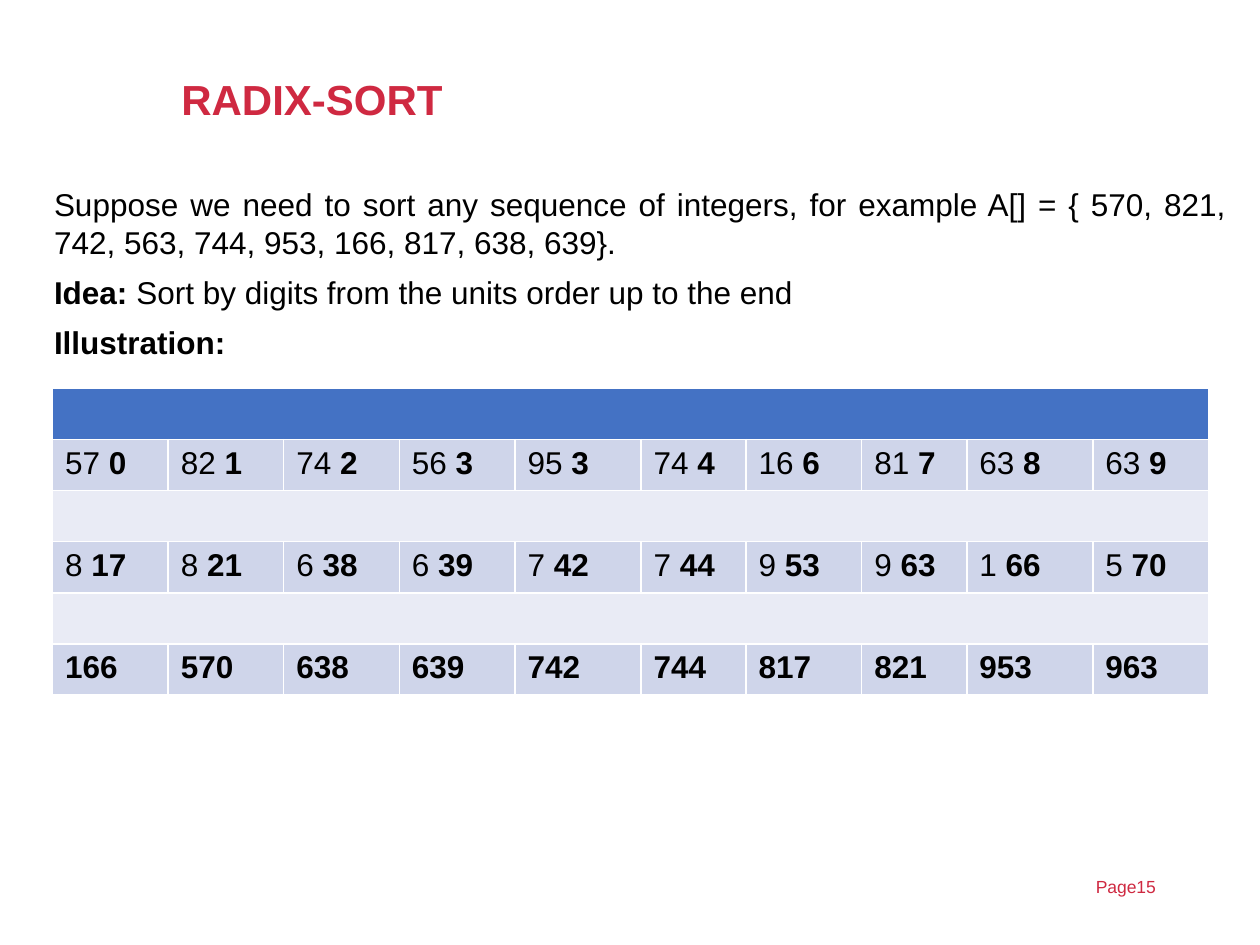
"""Builds the radix sort slide with its table of sorting passes."""
from pptx import Presentation
from pptx.dml.color import RGBColor
from pptx.enum.text import MSO_ANCHOR, MSO_AUTO_SIZE, PP_ALIGN
from pptx.util import Cm, Pt


def rgb(hex_code):
    return RGBColor.from_string(hex_code)


def add_run(paragraph, text, size=18, bold=False, color="000000"):
    run = paragraph.add_run()
    run.text = text
    run.font.name = "Arial"
    run.font.size = Pt(size)
    run.font.bold = bold
    run.font.color.rgb = rgb(color)


RED = "CF2941"
prs = Presentation()
prs.slide_width, prs.slide_height = Cm(25.4), Cm(19.05)
slide = prs.slides.add_slide(prs.slide_layouts[5])

title = slide.shapes.title
title.left, title.top, title.width, title.height = Cm(3.4), Cm(1.02), Cm(20.27), Cm(2.08)
title.text_frame.auto_size = MSO_AUTO_SIZE.NONE
title.text_frame.vertical_anchor = MSO_ANCHOR.MIDDLE
heading = title.text_frame.paragraphs[0]
heading.alignment = PP_ALIGN.LEFT
heading.line_spacing = 0.9
add_run(heading, "RADIX-SORT", 24, True, RED)

page = slide.shapes.add_textbox(Cm(21.84), Cm(17.53), Cm(3.05), Cm(0.71)).text_frame
page.word_wrap = True
add_run(page.paragraphs[0], "Page15", 10, color=RED)

explanation = [
    ("", "Suppose we need to sort any sequence of integers, for example "
         "A[] = { 570, 821, 742, 563, 744, 953, 166, 817, 638, 639}."),
    ("Idea: ", "Sort by digits from the units order up to the end"),
    ("Illustration:", ""),
]
intro = slide.shapes.add_textbox(Cm(0.84), Cm(3.61), Cm(24.13), Cm(3.86)).text_frame
intro.word_wrap = True
for index, (lead, body) in enumerate(explanation):
    paragraph = intro.add_paragraph() if index else intro.paragraphs[0]
    paragraph.alignment = PP_ALIGN.JUSTIFY
    paragraph.space_before = Pt(7)
    if lead:
        add_run(paragraph, lead, bold=True)
    if body:
        add_run(paragraph, body)

passes = [
    "570 821 742 563 953 744 166 817 638 639".split(),
    "817 821 638 639 742 744 953 963 166 570".split(),
    "166 570 638 639 742 744 817 821 953 963".split(),
]
column_widths = [2.33, 2.33, 2.33, 2.33, 2.54, 2.12, 2.33, 2.12, 2.54, 2.33]
table = slide.shapes.add_table(
    2 * len(passes), len(column_widths),
    Cm(1.06), Cm(7.83), Cm(23.3), Cm(6.18)).table
for column, width in zip(table.columns, column_widths):
    column.width = Cm(width)
for row in table.rows:
    row.height = Cm(1.03)

for step, numbers in enumerate(passes):
    separator_row, number_row = 2 * step, 2 * step + 1
    sorted_from = 2 - step
    for col, number in enumerate(numbers):
        separator = table.cell(separator_row, col)
        separator.fill.solid()
        separator.fill.fore_color.rgb = rgb("E9EBF5" if step else "4472C4")
        cell = table.cell(number_row, col)
        cell.fill.solid()
        cell.fill.fore_color.rgb = rgb("CFD5EA")
        paragraph = cell.text_frame.paragraphs[0]
        if sorted_from:
            add_run(paragraph, number[:sorted_from] + " ")
        add_run(paragraph, number[sorted_from:], bold=True)
    table.cell(separator_row, 0).merge(table.cell(separator_row, len(numbers) - 1))

prs.save("out.pptx")
